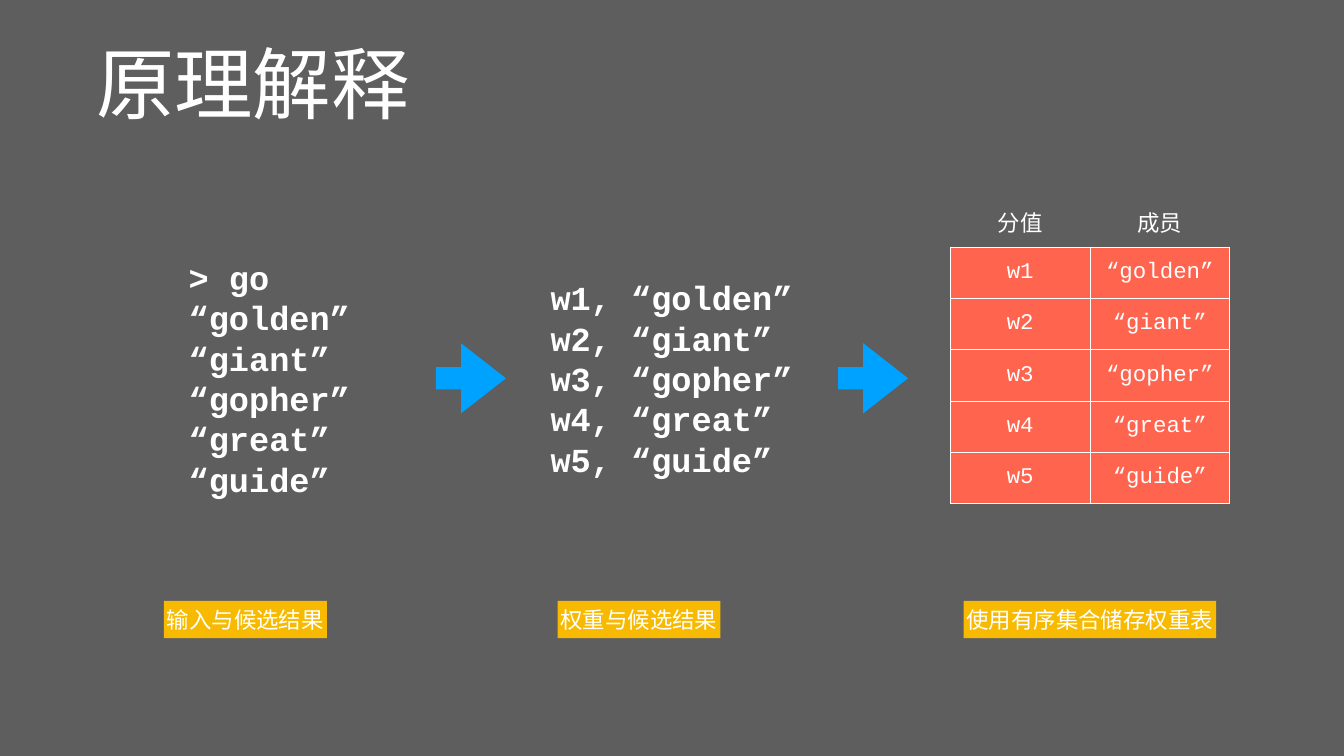
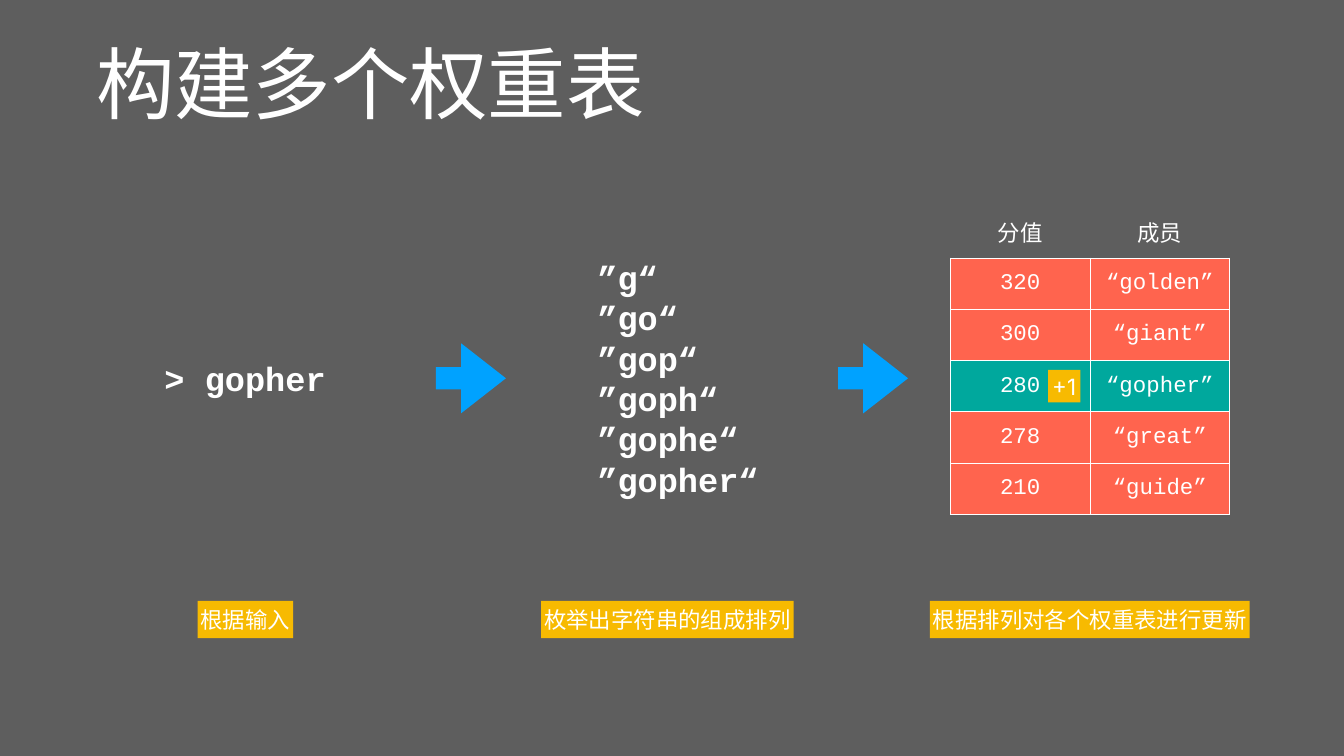
from lxml.etree import SubElement
from pptx import Presentation
from pptx.dml.color import RGBColor
from pptx.enum.shapes import MSO_SHAPE as Shape
from pptx.enum.text import MSO_ANCHOR as Anchor, MSO_AUTO_SIZE as Size, PP_ALIGN as Align
from pptx.oxml.ns import qn
from pptx.util import Cm, Pt

# Shared look
GREY, WHITE, BLUE = "5E5E5E", "FFFFFF", "00A2FF"
GOLD, RED, TEAL = "F7BA01", "FF644E", "00A89D"
SANS, MONO = "Inter", "Courier New"
PAD = Cm(0.14)
MID = 19.05
LEFT_MID, RIGHT_MID = 12.37, 54.93
WORDS = ["golden", "giant", "gopher", "great", "guide"]
QUOTED = [f"“{word}”" for word in WORDS]


def color(code):
    return RGBColor.from_string(code)


def style(frame, size, font, align=Align.LEFT, bold=False):
    for para in frame.paragraphs:
        para.alignment = align
        for run in para.runs:
            run.font.size = Pt(size)
            run.font.name = font
            run.font.bold = bold
            run.font.color.rgb = color(WHITE)


def pad(item):
    item.margin_left = item.margin_right = PAD
    item.margin_top = item.margin_bottom = PAD
    item.vertical_anchor = Anchor.MIDDLE


def paint(shape, code):
    shape.shadow.inherit = False
    shape.fill.solid()
    shape.fill.fore_color.rgb = color(code)
    shape.line.fill.background()


# Page with background and title
def add_page(deck, title):
    page = deck.slides.add_slide(deck.slide_layouts[6])
    page.background.fill.solid()
    page.background.fill.fore_color.rgb = color(GREY)
    box = page.shapes.add_textbox(Cm(4.7), Cm(0.99), Cm(58.34), Cm(6.35))
    frame = box.text_frame
    frame.word_wrap = True
    pad(frame)
    frame.text = title
    style(frame, 112, SANS)
    return page


# Code lines, centred on the middle of the page
def add_code(page, lines, left, width, height):
    box = page.shapes.add_textbox(Cm(left), Cm(MID - height / 2), Cm(width), Cm(height))
    frame = box.text_frame
    frame.word_wrap = False
    frame.auto_size = Size.SHAPE_TO_FIT_TEXT
    pad(frame)
    frame.text = "\n".join(lines)
    style(frame, 48, MONO, bold=True)


def add_arrows(page):
    for left in (21.97, 42.24):
        arrow = page.shapes.add_shape(
            Shape.RIGHT_ARROW, Cm(left), Cm(17.3), Cm(3.53), Cm(3.53))
        arrow.adjustments[0] = 0.32
        arrow.adjustments[1] = 0.64
        paint(arrow, BLUE)


# Gold tag, placed by its centre
def add_tag(page, text, x, y, width, height):
    tag = page.shapes.add_shape(
        Shape.RECTANGLE, Cm(x - width / 2), Cm(y - height / 2), Cm(width), Cm(height))
    paint(tag, GOLD)
    frame = tag.text_frame
    frame.word_wrap = False
    frame.auto_size = Size.SHAPE_TO_FIT_TEXT
    pad(frame)
    frame.text = text
    style(frame, 32, SANS, Align.CENTER)


# Captions under the three steps; the width follows the text
def add_captions(page, texts, centre):
    for text, x in zip(texts, (LEFT_MID, centre, RIGHT_MID)):
        add_tag(page, text, x, 31.22, 1.13 * len(text) + 0.3, 1.88)


def set_edges(cell, shown):
    props = cell._tc.get_or_add_tcPr()
    for side in "LRTB":
        edge = SubElement(props, qn(f"a:ln{side}"), w=str(Pt(1)))
        if side in shown:
            fill = SubElement(edge, qn("a:solidFill"))
            SubElement(fill, qn("a:srgbClr"), val=WHITE)
        else:
            SubElement(edge, qn("a:noFill"))


# Score table; the marked row is teal
def add_scores(page, scores, top, mark=None):
    rows = [("分值", "成员"), *zip(scores, QUOTED)]
    high, wide = 2.585, 7.04
    table = page.shapes.add_table(
        len(rows), 2, Cm(47.9), Cm(top), Cm(2 * wide), Cm(high * len(rows))).table
    table.first_row = table.horz_banding = False
    for col in table.columns:
        col.width = Cm(wide)
    for r, row in enumerate(rows):
        table.rows[r].height = Cm(high)
        for c, text in enumerate(row):
            cell = table.cell(r, c)
            cell.text = text
            pad(cell)
            style(cell.text_frame, 32, MONO, Align.CENTER)
            set_edges(cell, "LRTB" if r else "B")
            if r:
                cell.fill.solid()
                cell.fill.fore_color.rgb = color(TEAL if r == mark else RED)
            else:
                cell.fill.background()


def main():
    deck = Presentation()
    deck.slide_width, deck.slide_height = Cm(67.74), Cm(38.1)

    # How it works
    page = add_page(deck, "原理解释")
    weights = [f"w{i}" for i in range(1, len(WORDS) + 1)]
    add_code(page, ["> go", *QUOTED], 9.37, 9.47, 14.6)
    pairs = [f"{w}, {word}" for w, word in zip(weights, QUOTED)]
    add_code(page, pairs, 27.61, 13.54, 10.52)
    add_arrows(page)
    add_scores(page, weights, 9.86)
    add_captions(page, ["输入与候选结果", "权重与候选结果", "使用有序集合储存权重表"], 32.21)

    # Building several weight tables
    page = add_page(deck, "构建多个权重表")
    word = "gopher"
    add_code(page, [f"> {word}"], 8.15, 8.46, 2.34)
    parts = [f"”{word[:n]}“" for n in range(1, len(word) + 1)]
    add_code(page, parts, 29.97, 9.47, 14.6)
    add_arrows(page)
    add_scores(page, ["320", "300", "280", "278", "210"], 10.41, mark=3)
    add_captions(
        page, ["根据输入", "枚举出字符串的组成排列", "根据排列对各个权重表进行更新"], 33.64)
    add_tag(page, "+1", 53.64, 19.46, 1.63, 1.63)

    deck.save("out.pptx")


if __name__ == "__main__":
    main()
